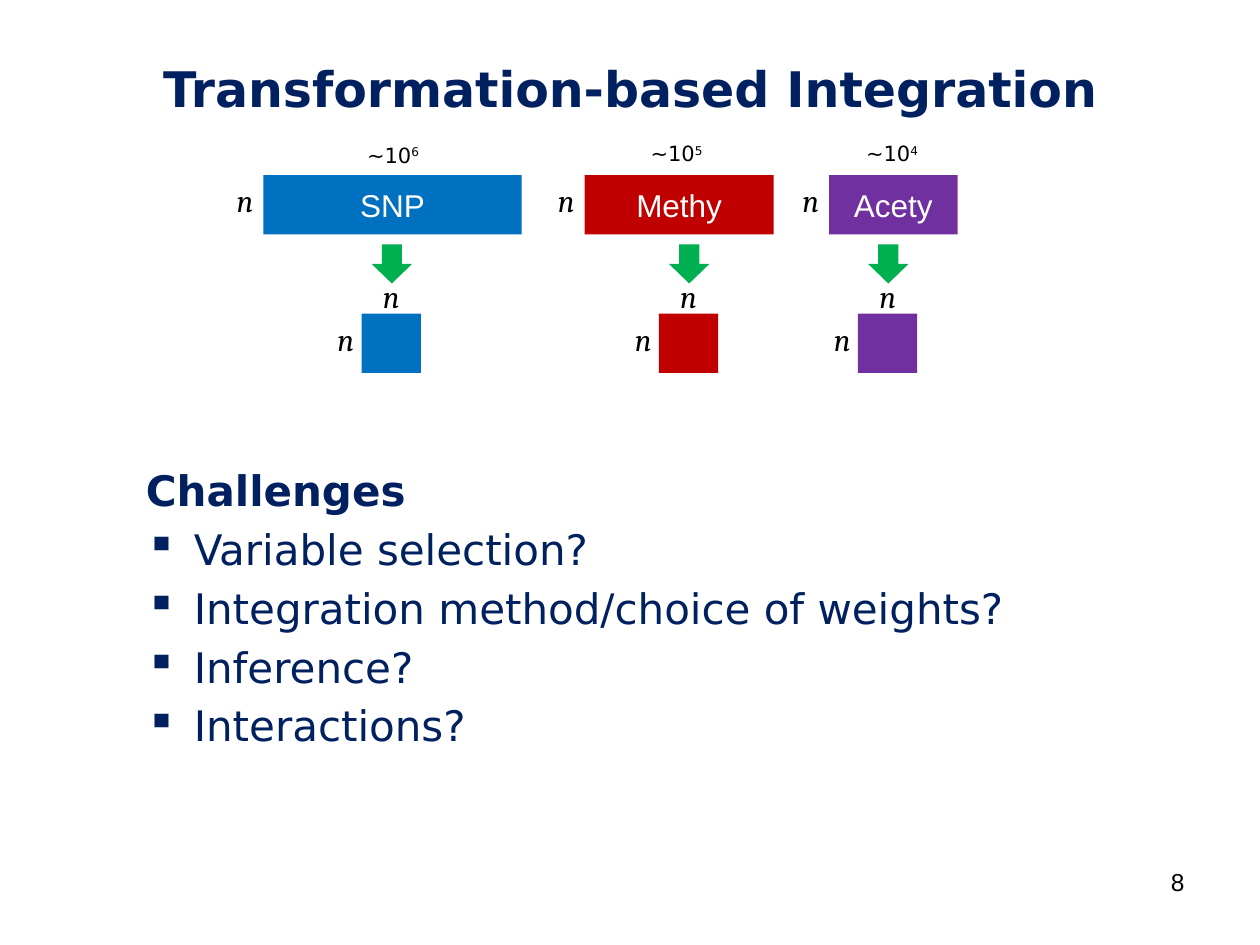
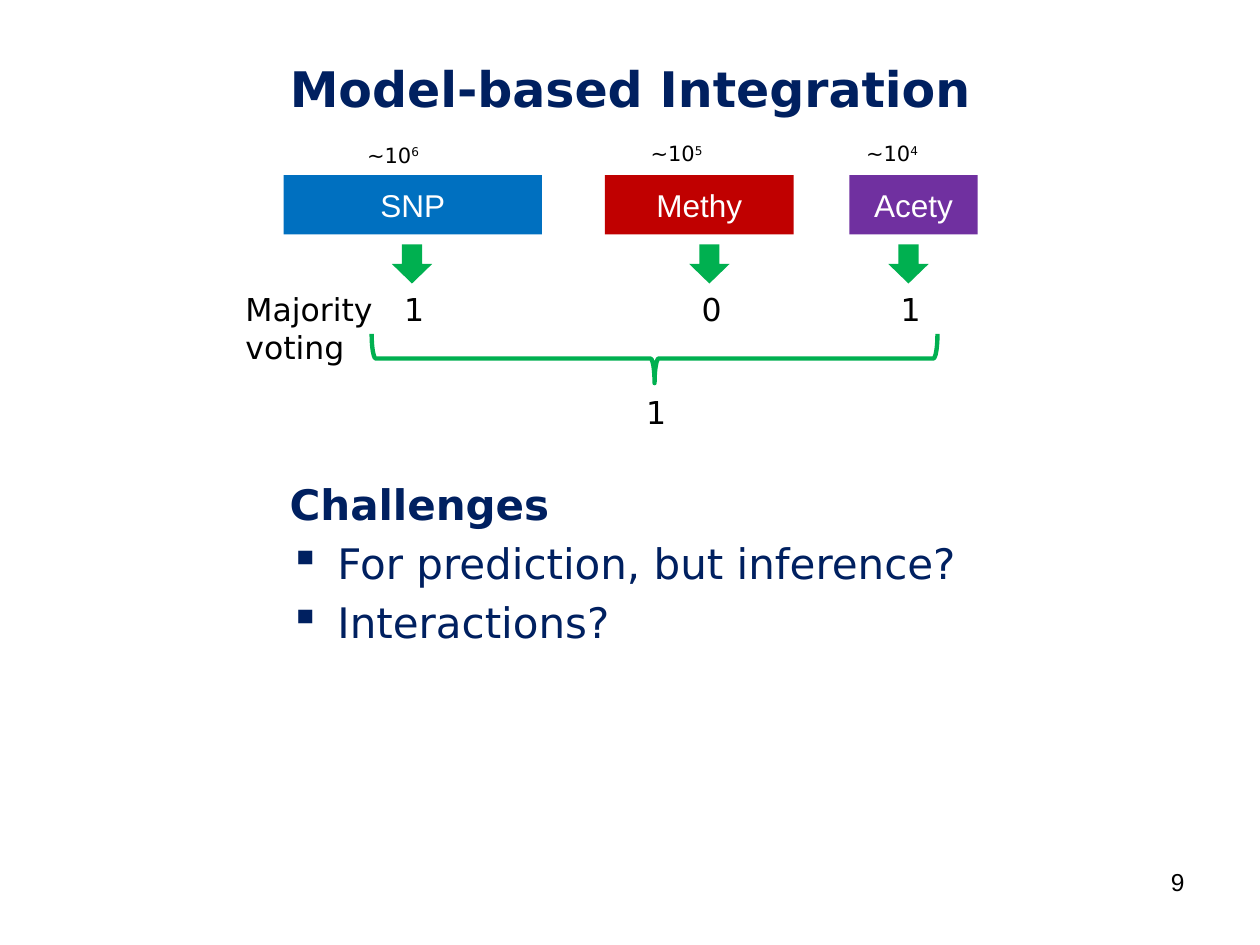
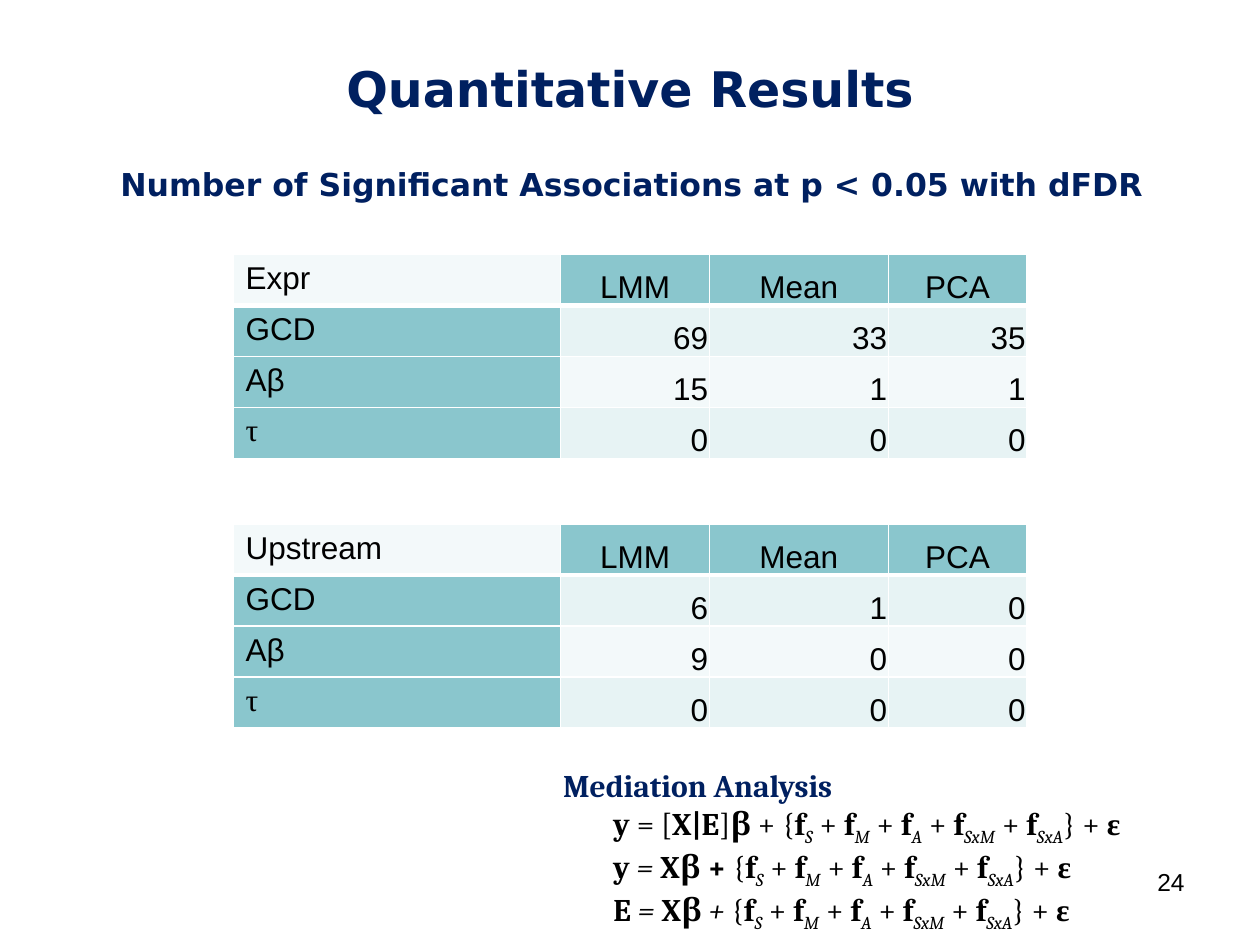
from dataclasses import dataclass
from typing import NamedTuple

from lxml.etree import SubElement
from pptx import Presentation
from pptx.dml.color import RGBColor
from pptx.enum.shapes import MSO_SHAPE
from pptx.enum.text import MSO_ANCHOR, PP_ALIGN
from pptx.oxml.ns import qn
from pptx.util import Emu, Inches, Pt

COLS, ROWS = 100, 75
CELL = Inches(10) / COLS
NAVY, BLACK, WHITE, GREEN = "002060", "000000", "FFFFFF", "00B050"
TEAL, PALE, PALER = "8AC6CD", "E7F3F4", "F3F9FA"
SANS, ARIAL, SERIF, TIMES = "DejaVu Sans", "Arial", "Cambria", "Times New Roman"
HANGING = 3.8
CENTER, RIGHT = PP_ALIGN.CENTER, PP_ALIGN.RIGHT


class Box(NamedTuple):
    """Left, top, width and height in grid cells."""
    col: float
    row: float
    cols: float
    rows: float


@dataclass(frozen=True)
class Run:
    """A piece of text with its own style."""
    text: str
    bold: bool = False
    italic: bool = False
    baseline: int = 0
    font: str | None = None


@dataclass(frozen=True)
class Omic:
    """One data type of the integration diagram."""
    name: str
    color: str
    col: float
    cols: float
    arrow_col: float
    size_col: float
    size_row: float
    power: str
    vote: str


OMICS = [
    Omic("SNP", "0070C0", 20.9, 20.5, 29.5, 26.5, 10.8, "6", "1"),
    Omic("Methy", "C00000", 46.4, 15, 53.1, 49, 10.7, "5", "0"),
    Omic("Acety", "7030A0", 65.8, 10.2, 68.9, 66.1, 10.7, "4", "1"),
]
EXPR = [("Expr", "LMM", "Mean", "PCA"), ("GCD", "69", "33", "35"),
        ("Aβ", "15", "1", "1"), ("τ", "0", "0", "0")]
UPSTREAM = [("Upstream", "LMM", "Mean", "PCA"), ("GCD", "6", "1", "0"),
            ("Aβ", "9", "0", "0"), ("τ", "0", "0", "0")]
TABLE_COLS = (26, 11.8, 14.2, 11)


def grid(cells: float) -> Emu:
    """Turn grid cells into a length."""
    return Emu(round(cells * CELL))


def place(box: Box) -> list[Emu]:
    """Turn a box into left, top, width and height."""
    return [grid(v) for v in box]


def rgb(color: str) -> RGBColor:
    """Turn a hex string into a colour."""
    return RGBColor.from_string(color)


def write(tf, text: str | list[Run], *, size: float = 18, font: str = SANS,
          color: str = BLACK, bold: bool = False, italic: bool = False,
          align=PP_ALIGN.LEFT, margin: float = 0, hanging: float = 0,
          before: int = 0, bullet: str = "") -> None:
    """Add one formatted paragraph to a text frame."""
    p = tf.add_paragraph() if tf.text else tf.paragraphs[0]
    p.alignment = align
    pPr = p._p.get_or_add_pPr()
    if margin:
        pPr.set("marL", str(grid(margin)))
        pPr.set("indent", str(-grid(hanging)))
    if before:
        SubElement(SubElement(pPr, qn("a:spcBef")), qn("a:spcPct")).set("val", str(before * 1000))
    if bullet:
        SubElement(pPr, qn("a:buChar")).set("char", bullet)
    for run in [Run(text, bold, italic)] if isinstance(text, str) else text:
        r = p.add_run()
        r.text = run.text
        r.font.name = run.font or font
        r.font.size = Pt(size)
        r.font.bold, r.font.italic = run.bold, run.italic
        r.font.color.rgb = rgb(color)
        if run.baseline:
            r._r.get_or_add_rPr().set("baseline", str(run.baseline * 1000))


def add_frame(slide, box: Box, anchor=MSO_ANCHOR.TOP):
    """Add an empty wrapping text box and return its frame."""
    tf = slide.shapes.add_textbox(*place(box)).text_frame
    tf.word_wrap = True
    tf.vertical_anchor = anchor
    return tf


def add_text(slide, box: Box, text: str | list[Run], **fmt) -> None:
    """Add a text box with one paragraph."""
    write(add_frame(slide, box), text, **fmt)


def add_figure(slide, kind, box: Box, fill: str = "", line: str = ""):
    """Add a flat preset shape."""
    sp = slide.shapes.add_shape(kind, *place(box))
    sp.shadow.inherit = False
    if fill:
        sp.fill.solid()
        sp.fill.fore_color.rgb = rgb(fill)
    else:
        sp.fill.background()
    if line:
        sp.line.color.rgb = rgb(line)
        sp.line.width = Pt(2.5)
    else:
        sp.line.fill.background()
    return sp


def add_slide(prs, title: str, number: int):
    """Add a slide with its title and page number."""
    slide = prs.slides.add_slide(prs.slide_layouts[6])
    write(add_frame(slide, Box(5, 3, 90, 7.9), MSO_ANCHOR.MIDDLE), title,
          size=28, color=NAVY, bold=True, align=CENTER)
    add_text(slide, Box(71.7, 68.3, 23.3, 5.2), str(number), size=14, font=ARIAL, align=RIGHT)
    return slide


def add_challenges(slide, box: Box, items: list[str]) -> None:
    """Add the heading and bulleted list of challenges."""
    tf = add_frame(slide, box)
    fmt = dict(size=24, color=NAVY, margin=HANGING, hanging=HANGING, before=20)
    write(tf, "Challenges", bold=True, **fmt)
    for item in items:
        write(tf, item, bullet="▪", **fmt)


def add_omic(slide, omic: Omic, shift: float = 0) -> None:
    """Draw the labelled bar of a data type and its arrow."""
    sp = add_figure(slide, MSO_SHAPE.RECTANGLE,
                    Box(omic.col + shift, 13.9, omic.cols, 4.7), omic.color)
    sp.text_frame.vertical_anchor = MSO_ANCHOR.MIDDLE
    write(sp.text_frame, omic.name, font=ARIAL, color=WHITE, align=CENTER)
    add_figure(slide, MSO_SHAPE.DOWN_ARROW, Box(omic.arrow_col + shift, 19.4, 3.2, 3.1), GREEN)
    add_text(slide, Box(omic.size_col, omic.size_row, 9.4, 3),
             [Run("~10"), Run(omic.power, baseline=30)], size=12, align=CENTER)


def add_mark(slide, col: float, row: float, text: str, **fmt) -> None:
    """Add a one-character label."""
    add_text(slide, Box(col, row, 3.9, 4), text, **fmt)


def add_kernel(slide, omic: Omic) -> None:
    """Draw the n by n square of a data type and all its n labels."""
    col = omic.arrow_col - 0.8
    add_figure(slide, MSO_SHAPE.RECTANGLE, Box(col, 24.9, 4.7, 4.7), omic.color)
    for n_col, n_row in ((omic.col - 3.1, 13.9), (col - 2.9, 24.9), (col + 0.7, 21.5)):
        add_mark(slide, n_col, n_row, "n", font=SERIF, italic=True)


def style_cell(cell, fill: str, top: float, bottom: float) -> None:
    """Set white borders and the fill of a cell."""
    tcPr = cell._tc.get_or_add_tcPr()
    for side, width in zip("LRTB", (1, 1, top, bottom)):
        ln = SubElement(tcPr, qn(f"a:ln{side}"), w=str(Pt(width)))
        SubElement(SubElement(ln, qn("a:solidFill")), qn("a:srgbClr")).set("val", WHITE)
    cell.fill.solid()
    cell.fill.fore_color.rgb = rgb(fill)


def add_results(slide, row: float, data: list[tuple[str, ...]]) -> None:
    """Add a table of association counts."""
    box = Box(18.5, row, sum(TABLE_COLS), 16.2)
    table = slide.shapes.add_table(len(data), len(TABLE_COLS), *place(box)).table
    table.first_row = table.horz_banding = False
    for column, cols in zip(table.columns, TABLE_COLS):
        column.width = grid(cols)
    for i, values in enumerate(data):
        for j, value in enumerate(values):
            cell = table.cell(i, j)
            header = (i == 0) != (j == 0)
            style_cell(cell, TEAL if header else PALE if i % 2 else PALER,
                       3 if i == 1 else 1, 3 if i == 0 else 1)
            if j:
                cell.vertical_anchor = MSO_ANCHOR.BOTTOM
                cell.margin_left = cell.margin_right = cell.margin_top = grid(0.1)
                cell.margin_bottom = 0
            write(cell.text_frame, value, font=TIMES if value == "τ" else ARIAL,
                  align=PP_ALIGN.LEFT if j == 0 else RIGHT if i else CENTER)


def effects() -> list[Run]:
    """Return the sum of random effects that ends each equation."""
    runs = [Run("{")]
    for k, name in enumerate(("S", "M", "A", "SxM", "SxA")):
        runs += [Run(" + ")] if k else []
        runs += [Run("f", bold=True), Run(name, italic=True, baseline=-25)]
    return runs + [Run("} + "), Run("ε", bold=True, font=TIMES)]


def add_mediation(slide) -> None:
    """Add the mediation equations."""
    tf = add_frame(slide, Box(43.7, 60.3, 51.2, 13.1))
    write(tf, "Mediation Analysis", font=SERIF, color=NAVY, bold=True, margin=4, hanging=4)
    equals = Run(" = ", italic=True)
    heads = [
        [Run("y ", bold=True), Run("= ["), Run("X|E", bold=True), Run("]"),
         Run("β", bold=True), Run(" + ")],
        [Run("y", bold=True), equals, Run("Xβ + ", bold=True)],
        [Run("E", bold=True), equals, Run("Xβ", bold=True), Run(" + ", italic=True)],
    ]
    for head in heads:
        write(tf, head + effects(), font=SERIF, margin=4)


def build_transformation(prs) -> None:
    """Build the transformation-based slide."""
    slide = add_slide(prs, "Transformation-based Integration", 8)
    add_challenges(slide, Box(10.6, 36.4, 78, 15.3),
                   ["Variable selection?", "Integration method/choice of weights?",
                    "Inference?", "Interactions?"])
    for omic in OMICS:
        add_omic(slide, omic)
        add_kernel(slide, omic)


def build_model(prs) -> None:
    """Build the model-based slide."""
    slide = add_slide(prs, "Model-based Integration", 9)
    add_challenges(slide, Box(22, 37.5, 57.1, 29.5),
                   ["For prediction, but inference?", "Interactions?"])
    shift = 1.6
    for omic in OMICS:
        add_omic(slide, omic, shift)
        add_mark(slide, omic.arrow_col + shift, 22.5, omic.vote)
    brace = add_figure(slide, MSO_SHAPE.LEFT_BRACE, Box(50, 6, 3.9, 44.9), line=GREEN)
    brace.rotation = 270
    add_text(slide, Box(18.5, 22.5, 13.4, 7.1), "Majority voting")
    add_mark(slide, 50.3, 30.7, "1")


def build_results(prs) -> None:
    """Build the quantitative results slide."""
    slide = add_slide(prs, "Quantitative Results", 24)
    add_text(slide, Box(5, 12.6, 90.3, 4.7),
             "Number of Significant Associations at p < 0.05 with dFDR",
             color=NAVY, bold=True, align=CENTER, margin=HANGING, hanging=HANGING, before=20)
    add_results(slide, 20.2, EXPR)
    add_results(slide, 41.6, UPSTREAM)
    add_mediation(slide)


def main() -> None:
    """Build and save the presentation."""
    prs = Presentation()
    prs.slide_width, prs.slide_height = grid(COLS), grid(ROWS)
    build_transformation(prs)
    build_model(prs)
    build_results(prs)
    prs.save("out.pptx")


if __name__ == "__main__":
    main()
